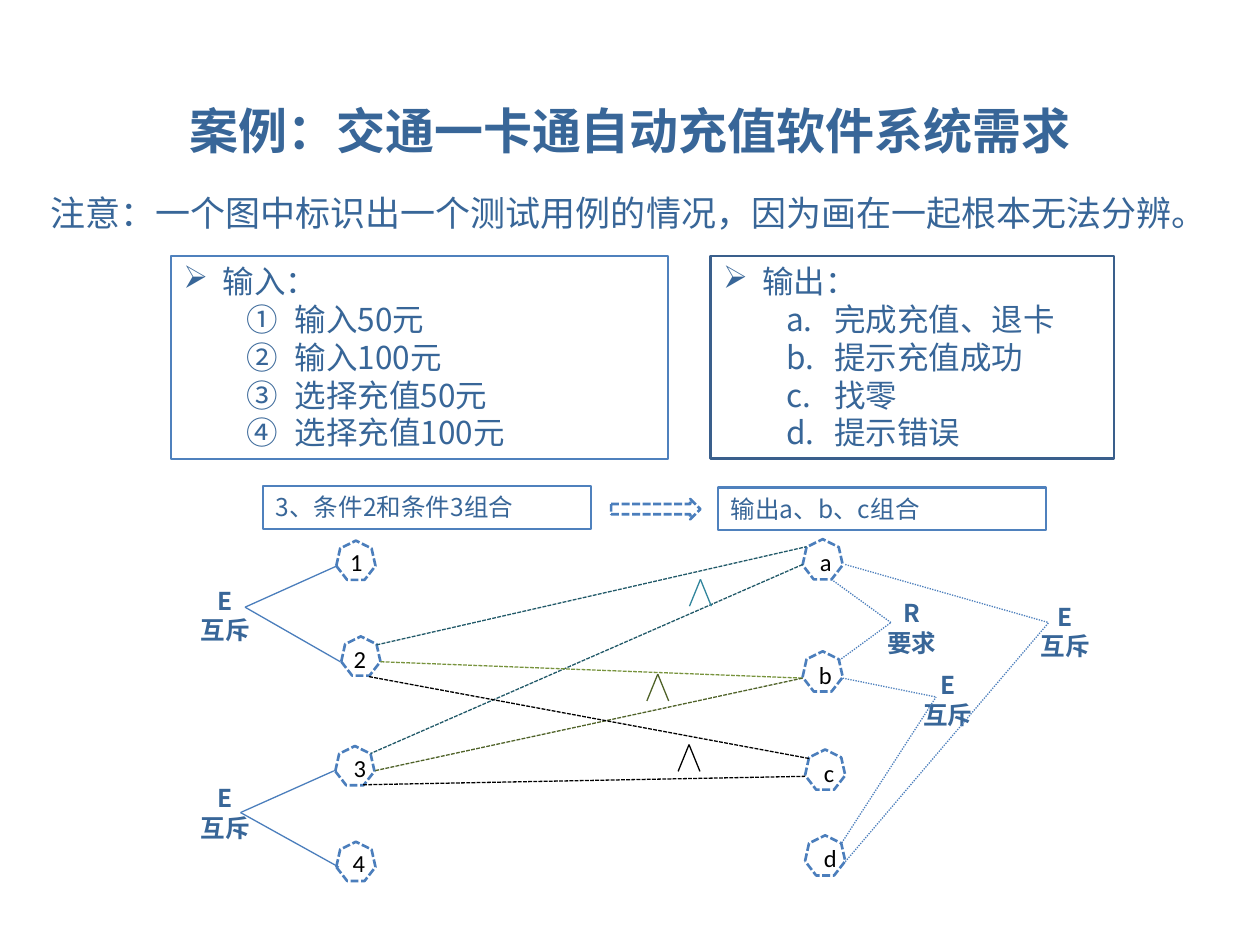
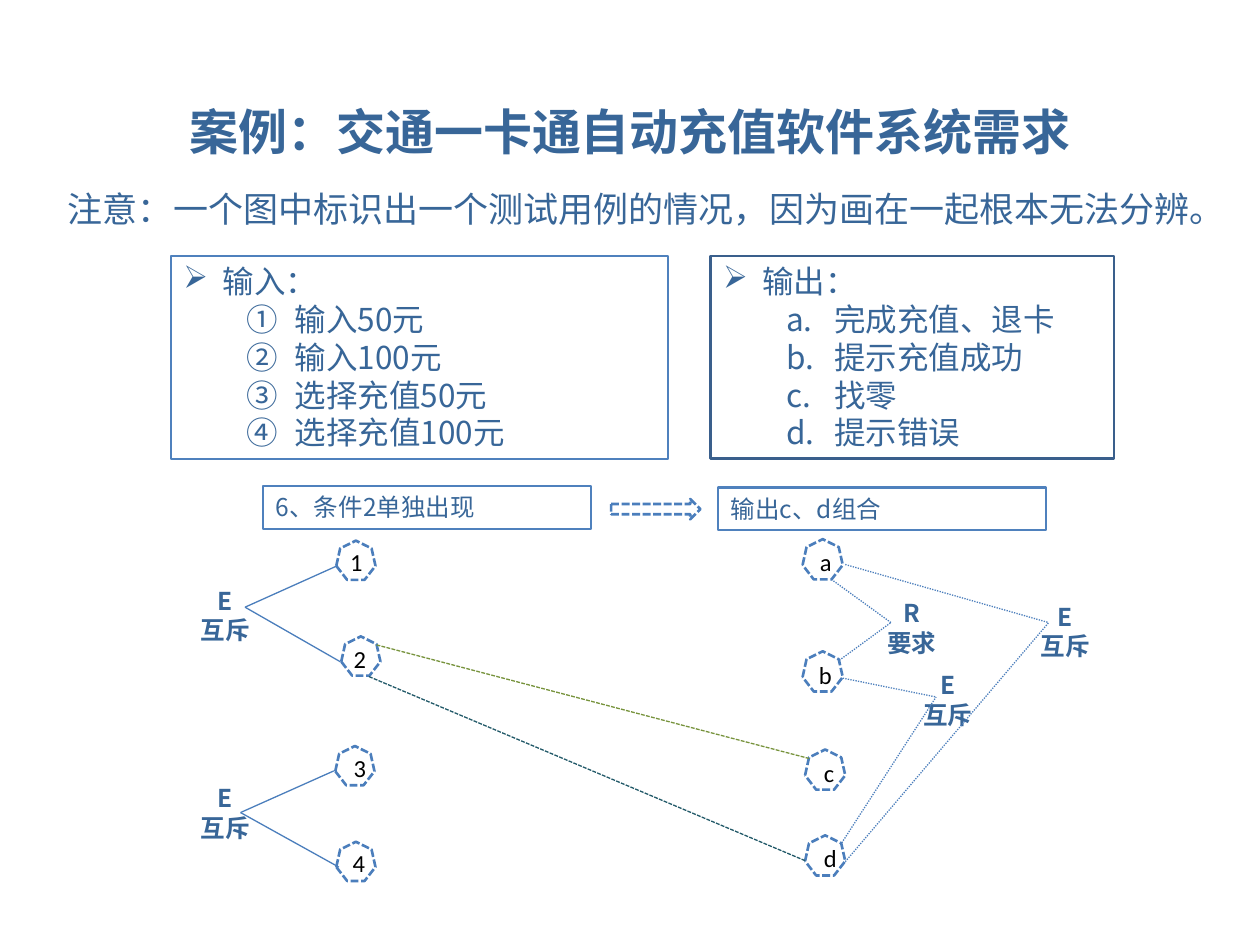
from lxml import etree
from pptx import Presentation
from pptx.dml.color import RGBColor
from pptx.enum.dml import MSO_LINE
from pptx.enum.shapes import MSO_CONNECTOR, MSO_SHAPE
from pptx.enum.text import MSO_ANCHOR, PP_ALIGN
from pptx.oxml.ns import qn
from pptx.util import Cm, Pt

HAN_FONT = "Noto Sans CJK SC"
TEXT_BLUE, LINE_BLUE = "386698", "4B7EBC"
BOX_BLUE, BOX_DARK = "4F81BD", "3A5F8C"
TEAL, TEAL_DARK, GREEN, OLIVE, BLACK = "31859C", "215968", "77933C", "4F6228", "000000"
DASH, DOT = MSO_LINE.SQUARE_DOT, MSO_LINE.ROUND_DOT

TITLE = "案例：交通一卡通自动充值软件系统需求"
NOTICE = "注意：一个图中标识出一个测试用例的情况，因为画在一起根本无法分辨。"

# Framed lists: left, width, frame colour, frame weight, numbering, lines
LISTS = [
    (3.45, 10.01, BOX_BLUE, 1.25, "circleNumDbPlain",
     ["输入：", "输入50元", "输入100元", "选择充值50元", "选择充值100元"]),
    (14.33, 8.13, BOX_DARK, 1.5, "alphaLcPeriod",
     ["输出：", "完成充值、退卡", "提示充值成功", "找零", "提示错误"]),
]

# Graph nodes: name, corner and size of the heptagon, corner of the label
NODES = [
    ("1", 6.78, 10.9, 0.79, 6.81, 10.9),
    ("2", 6.88, 12.83, 0.79, 6.88, 12.85),
    ("3", 6.76, 15.04, 0.79, 6.88, 15.06),
    ("4", 6.78, 16.97, 0.79, 6.86, 16.97),
    ("a", 16.18, 10.87, 0.81, 16.28, 10.9),
    ("b", 16.18, 13.13, 0.81, 16.26, 13.18),
    ("c", 16.23, 15.11, 0.81, 16.36, 15.16),
    ("d", 16.23, 16.84, 0.81, 16.36, 16.87),
]

# Constraints: label lines, label corner, apex, two node ends, dash
CONSTRAINTS = [
    (["E", "互斥"], (3.74, 11.68), (4.94, 12.24), [(6.81, 11.4), (6.86, 13.34)], None),
    (["E", "互斥"], (3.74, 15.67), (4.85, 16.38), [(6.73, 15.54), (6.83, 17.48)], None),
    (["R", "要求"], (17.58, 11.94), (17.96, 12.55), [(16.76, 11.68), (16.92, 13.31)], DOT),
    (["E", "互斥"], (18.31, 13.39), (18.87, 14.05), [(16.99, 13.67), (16.97, 16.99)], DOT),
    (["E", "互斥"], (20.68, 12.01), (21.14, 12.55), [(17.04, 11.38), (17.04, 17.37)], DOT),
]

# Test cases: title top, notice box, condition, outcome, links, "and" marks by apex
CASES = [
    (1.8, (0.76, 3.71, 23.37, 1.12), "3、条件2和条件3组合", "输出a、b、c组合",
     [((7.59, 13.0), (16.26, 11.02), TEAL_DARK),
      ((16.18, 11.38), (7.47, 15.19), TEAL_DARK),
      ((7.67, 13.34), (16.18, 13.67), GREEN),
      ((16.18, 13.67), (7.54, 15.54), OLIVE),
      ((7.44, 13.64), (16.31, 15.29), BLACK),
      ((7.32, 15.82), (16.23, 15.65), BLACK)],
     [(14.12, 11.68, TEAL), (13.26, 13.59, OLIVE), (13.89, 15.01, BLACK)]),
    (1.83, (1.12, 3.63, 23.77, 1.12), "6、条件2单独出现", "输出c、d组合",
     [((16.23, 17.35), (7.44, 13.64), TEAL_DARK),
      ((7.59, 13.0), (16.31, 15.29), GREEN)],
     []),
]


def add_box(slide, box, lines=(), size=14, color=TEXT_BLUE, font=HAN_FONT, bold=False,
            align=PP_ALIGN.LEFT, pitch=1.2, kind=MSO_SHAPE.RECTANGLE, fill=None,
            line=None, weight=1.25, dash=None, numbering=None):
    """Add a shape or, without fill and line, a text box; numbering makes it a list."""
    place = [Cm(length) for length in box]
    if line is None:
        shape = slide.shapes.add_textbox(*place)
    else:
        shape = slide.shapes.add_shape(kind, *place)
        shape.shadow.inherit = False
        shape.line.color.rgb = RGBColor.from_string(line)
        shape.line.width = Pt(weight)
        if dash:
            shape.line.dash_style = dash
        if fill:
            shape.fill.solid()
            shape.fill.fore_color.rgb = RGBColor.from_string(fill)
        else:
            shape.fill.background()
    frame = shape.text_frame
    frame.word_wrap = True
    frame.vertical_anchor = MSO_ANCHOR.TOP
    for index, text in enumerate(lines):
        paragraph = frame.paragraphs[0] if index == 0 else frame.add_paragraph()
        paragraph.text = text
        paragraph.alignment = align
        paragraph.line_spacing = Pt(size * pitch)
        properties = paragraph._p.get_or_add_pPr()
        if numbering:
            paragraph.level = min(index, 1)
            margin, hanging = (2.24, 0.97) if index else (0.79, 0.79)
            properties.set("marL", str(Cm(margin)))
            properties.set("indent", str(-Cm(hanging)))
            if index:
                etree.SubElement(properties, qn("a:buAutoNum"), type=numbering)
            else:
                etree.SubElement(properties, qn("a:buChar"), char="➢")
        paragraph.font.size = Pt(size)
        paragraph.font.bold = bold
        paragraph.font.color.rgb = RGBColor.from_string(color)
        paragraph.font.name = font
        etree.SubElement(properties.find(qn("a:defRPr")), qn("a:ea"), typeface=HAN_FONT)


def add_line(slide, start, end, color=LINE_BLUE, dash=None):
    """Add a thin straight line between two points."""
    line = slide.shapes.add_connector(
        MSO_CONNECTOR.STRAIGHT, *[Cm(length) for length in (*start, *end)])
    line.line.color.rgb = RGBColor.from_string(color)
    line.line.width = Pt(0.75)
    if dash:
        line.line.dash_style = dash
    etree.SubElement(line._element.spPr, qn("a:effectLst"))


deck = Presentation()
deck.slide_width, deck.slide_height = Cm(25.4), Cm(19.05)

for title_top, notice_box, condition, outcome, links, and_marks in CASES:
    slide = deck.slides.add_slide(deck.slide_layouts[6])

    # Title and notice
    add_box(slide, (1.27, title_top, 22.86, 1.63), [TITLE], size=28, font="Cabin",
            bold=True, align=PP_ALIGN.CENTER, pitch=1.3)
    add_box(slide, notice_box, [NOTICE], size=20, pitch=1.25)

    # Inputs and outputs
    for left, width, frame_color, weight, numbering, lines in LISTS:
        add_box(slide, (left, 5.16, width, 4.09), lines, size=18, fill="FFFFFF",
                line=frame_color, weight=weight, numbering=numbering)

    # Constraints between nodes
    for label, corner, apex, ends, dash in CONSTRAINTS:
        add_box(slide, (*corner, 1.6, 1.45), label, bold=True, align=PP_ALIGN.CENTER)
        for end in ends:
            add_line(slide, end, apex, dash=dash)

    # Nodes
    for name, left, top, size, label_left, label_top in NODES:
        add_box(slide, (label_left, label_top, 0.61, 0.86), [name], color=BLACK,
                font="Calibri")
        add_box(slide, (left, top, size, size), kind=MSO_SHAPE.HEPTAGON,
                line=LINE_BLUE, weight=1.5, dash=DASH)

    # Links from conditions to outcomes
    for start, end, color in links:
        add_line(slide, start, end, color, DASH)
    for x, y, color in and_marks:
        for side in (-0.22, 0.22):
            add_line(slide, (x + side, y + 0.54), (x, y), color)

    # Condition, arrow, outcome
    for left, top, text in [(5.31, 9.8, condition), (14.48, 9.83, outcome)]:
        add_box(slide, (left, top, 6.6, 0.86), [text], fill="FFFFFF", line=BOX_BLUE)
    add_box(slide, (12.32, 10.06, 1.8, 0.41), kind=MSO_SHAPE.RIGHT_ARROW,
            line=LINE_BLUE, weight=1.5, dash=DASH)

deck.save("out.pptx")
